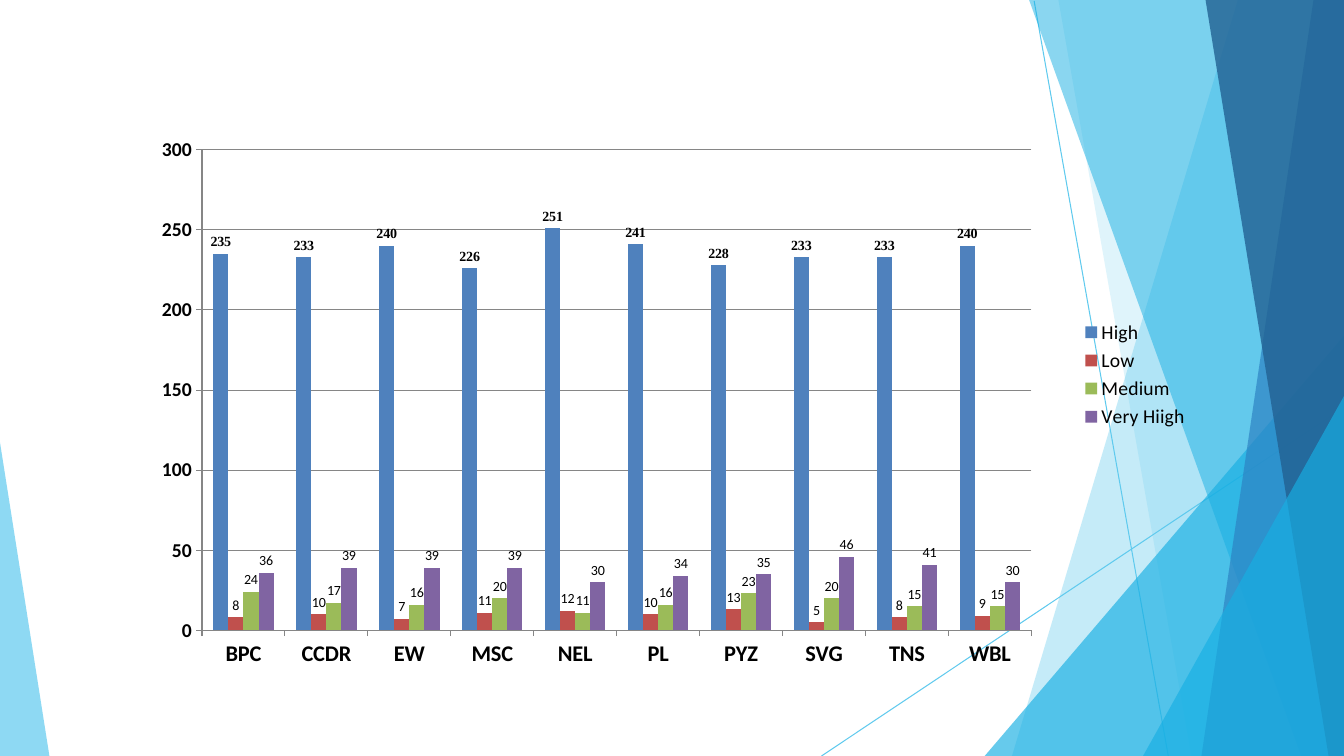
"""Build a slide with a clustered column chart over a faceted blue backdrop."""

from dataclasses import dataclass

import pptx
import pptx.chart.axis
import pptx.chart.chart
import pptx.chart.data
import pptx.dml.color
import pptx.enum.chart
import pptx.enum.shapes
import pptx.oxml
import pptx.oxml.ns
import pptx.slide
import pptx.util
from lxml import etree

Pt = pptx.util.Pt
RGBColor = pptx.dml.color.RGBColor
qn = pptx.oxml.ns.qn

WIDTH, HEIGHT = 960, 540
SKY = RGBColor(0x5F, 0xCA, 0xEE)
CYAN = RGBColor(0x17, 0xAF, 0xE3)
BLUE = RGBColor(0x2D, 0x83, 0xC3)
NAVY = RGBColor(0x22, 0x61, 0x92)
BLACK = RGBColor(0, 0, 0)
GRAY = RGBColor(0x86, 0x86, 0x86)
HIGH_BLUE = RGBColor(0x4F, 0x81, 0xBD)
LOW_RED = RGBColor(0xC0, 0x50, 0x4D)
MEDIUM_GREEN = RGBColor(0x9B, 0xBB, 0x59)
VERY_HIGH_PURPLE = RGBColor(0x80, 0x64, 0xA2)

Point = tuple[float, float]
TOP_RIGHT: Point = (WIDTH, 0)
BOTTOM_RIGHT: Point = (WIDTH, HEIGHT)


@dataclass(frozen=True)
class Ray:
    """A thin straight line."""
    start: Point
    end: Point


@dataclass(frozen=True)
class Facet:
    """A translucent polygon."""
    points: tuple[Point, ...]
    color: RGBColor
    opacity: int


@dataclass(frozen=True)
class Level:
    """One chart series."""
    name: str
    values: tuple[int, ...]
    color: RGBColor
    label_font: str = "Calibri"
    label_bold: bool = False


RAYS = (
    Ray((738.7, 0.7), (834.5, HEIGHT)),
    Ray((WIDTH, 290.9), (586.8, HEIGHT)),
)
FACETS = (
    Facet((TOP_RIGHT, (884.2, 0), (722.9, HEIGHT), BOTTOM_RIGHT), SKY, 36),
    Facet((TOP_RIGHT, (756, 0), (851, HEIGHT), BOTTOM_RIGHT), SKY, 20),
    Facet(((WIDTH, 239.8), (703.4, HEIGHT), BOTTOM_RIGHT), CYAN, 66),
    Facet((TOP_RIGHT, (735.1, 0), (929.5, HEIGHT), BOTTOM_RIGHT), CYAN, 50),
    Facet((TOP_RIGHT, (938.2, 0), (858.2, HEIGHT), BOTTOM_RIGHT), BLUE, 70),
    Facet((TOP_RIGHT, (861.1, 0), (949, HEIGHT), BOTTOM_RIGHT), NAVY, 80),
    Facet(((WIDTH, 283), (816.5, HEIGHT), BOTTOM_RIGHT), CYAN, 66),
    Facet(((0, 316.1), (0, HEIGHT), (35.3, HEIGHT)), SKY, 70),
)
CATEGORIES = ("BPC", "CCDR", "EW", "MSC", "NEL", "PL", "PYZ", "SVG", "TNS", "WBL")
LEVELS = (
    Level("High", (235, 233, 240, 226, 251, 241, 228, 233, 233, 240),
          HIGH_BLUE, "Times New Roman", True),
    Level("Low", (8, 10, 7, 11, 12, 10, 13, 5, 8, 9), LOW_RED),
    Level("Medium", (24, 17, 16, 20, 11, 16, 23, 20, 15, 15), MEDIUM_GREEN),
    Level("Very Hiigh", (36, 39, 39, 39, 30, 34, 35, 46, 41, 30), VERY_HIGH_PURPLE),
)
PLOT_LAYOUT = {"x": 0.062, "y": 0.148, "w": 0.78, "h": 0.753}


def add_ray(slide: pptx.slide.Slide, ray: Ray) -> None:
    """Draw a thin line without a shadow."""
    connector = slide.shapes.add_connector(
        pptx.enum.shapes.MSO_CONNECTOR.STRAIGHT,
        *(Pt(value) for value in ray.start + ray.end))
    connector.line.color.rgb = SKY
    connector.line.width = Pt(0.75)
    etree.SubElement(connector._element.spPr, qn("a:effectLst"))


def add_facet(slide: pptx.slide.Slide, facet: Facet) -> None:
    """Draw a translucent polygon without an outline."""
    start, *rest = [(Pt(x), Pt(y)) for x, y in facet.points]
    builder = slide.shapes.build_freeform(*start)
    builder.add_line_segments(rest, close=True)
    shape = builder.convert_to_shape()
    shape.shadow.inherit = False
    shape.fill.solid()
    shape.fill.fore_color.rgb = facet.color
    shape.line.fill.background()
    color = shape._element.spPr.find(qn("a:solidFill"))[0]
    etree.SubElement(color, qn("a:alpha"), val=str(facet.opacity * 1000))


def style_axis(axis: pptx.chart.axis._BaseAxis, size: int) -> None:
    """Set the line, ticks and bold labels of an axis."""
    axis.major_tick_mark = pptx.enum.chart.XL_TICK_MARK.OUTSIDE
    axis.minor_tick_mark = pptx.enum.chart.XL_TICK_MARK.NONE
    axis.format.line.color.rgb = GRAY
    axis.format.line.width = Pt(0.75)
    axis.tick_labels.font.size = Pt(size)
    axis.tick_labels.font.bold = True


def place_plot(chart: pptx.chart.chart.Chart) -> None:
    """Fix the inner plot area as fractions of the chart frame."""
    plot_area = chart._chartSpace.chart.plotArea
    for previous in plot_area.findall(qn("c:layout")):
        plot_area.remove(previous)
    layout = etree.Element(qn("c:layout"))
    manual = etree.SubElement(layout, qn("c:manualLayout"))
    etree.SubElement(manual, qn("c:layoutTarget"), val="inner")
    for side in ("x", "y"):
        etree.SubElement(manual, qn(f"c:{side}Mode"), val="edge")
    for side, fraction in PLOT_LAYOUT.items():
        etree.SubElement(manual, qn(f"c:{side}"), val=str(fraction))
    plot_area.insert(0, layout)


def add_level_chart(slide: pptx.slide.Slide) -> None:
    """Add the clustered columns with axes, labels and legend."""
    data = pptx.chart.data.CategoryChartData()
    data.categories = CATEGORIES
    for level in LEVELS:
        data.add_series(level.name, level.values)
    chart = slide.shapes.add_chart(
        pptx.enum.chart.XL_CHART_TYPE.COLUMN_CLUSTERED,
        Pt(97.2), Pt(39.6), Pt(759.6), Pt(455.8), data).chart
    chart.has_title = False
    chart.font.name = "Calibri"
    chart.font.size = Pt(10)
    chart.font.color.rgb = BLACK
    chart.has_legend = True
    chart.legend.position = pptx.enum.chart.XL_LEGEND_POSITION.RIGHT
    chart.legend.include_in_layout = False
    chart.legend.font.size = Pt(14)
    style_axis(chart.category_axis, 16)
    style_axis(chart.value_axis, 14)
    chart.value_axis.minimum_scale = 0
    chart.value_axis.maximum_scale = 300
    chart.value_axis.major_unit = 50
    chart.value_axis.has_major_gridlines = True
    chart.value_axis.major_gridlines.format.line.color.rgb = GRAY
    chart.value_axis.major_gridlines.format.line.width = Pt(0.75)
    plot = chart.plots[0]
    plot.gap_width = 150
    plot.overlap = 0
    plot.vary_by_categories = False
    for series, level in zip(plot.series, LEVELS):
        series.format.fill.solid()
        series.format.fill.fore_color.rgb = level.color
        labels = series.data_labels
        labels.show_value = True
        labels.position = pptx.enum.chart.XL_LABEL_POSITION.OUTSIDE_END
        labels.font.name = level.label_font
        labels.font.size = Pt(10)
        labels.font.bold = level.label_bold
        labels.font.color.rgb = BLACK
    place_plot(chart)


def main() -> None:
    """Assemble and save the slide."""
    presentation = pptx.Presentation()
    presentation.slide_width = Pt(WIDTH)
    presentation.slide_height = Pt(HEIGHT)
    slide = presentation.slides.add_slide(presentation.slide_layouts[6])
    for ray in RAYS:
        add_ray(slide, ray)
    for facet in FACETS:
        add_facet(slide, facet)
    add_level_chart(slide)
    presentation.save("out.pptx")


if __name__ == "__main__":
    main()
